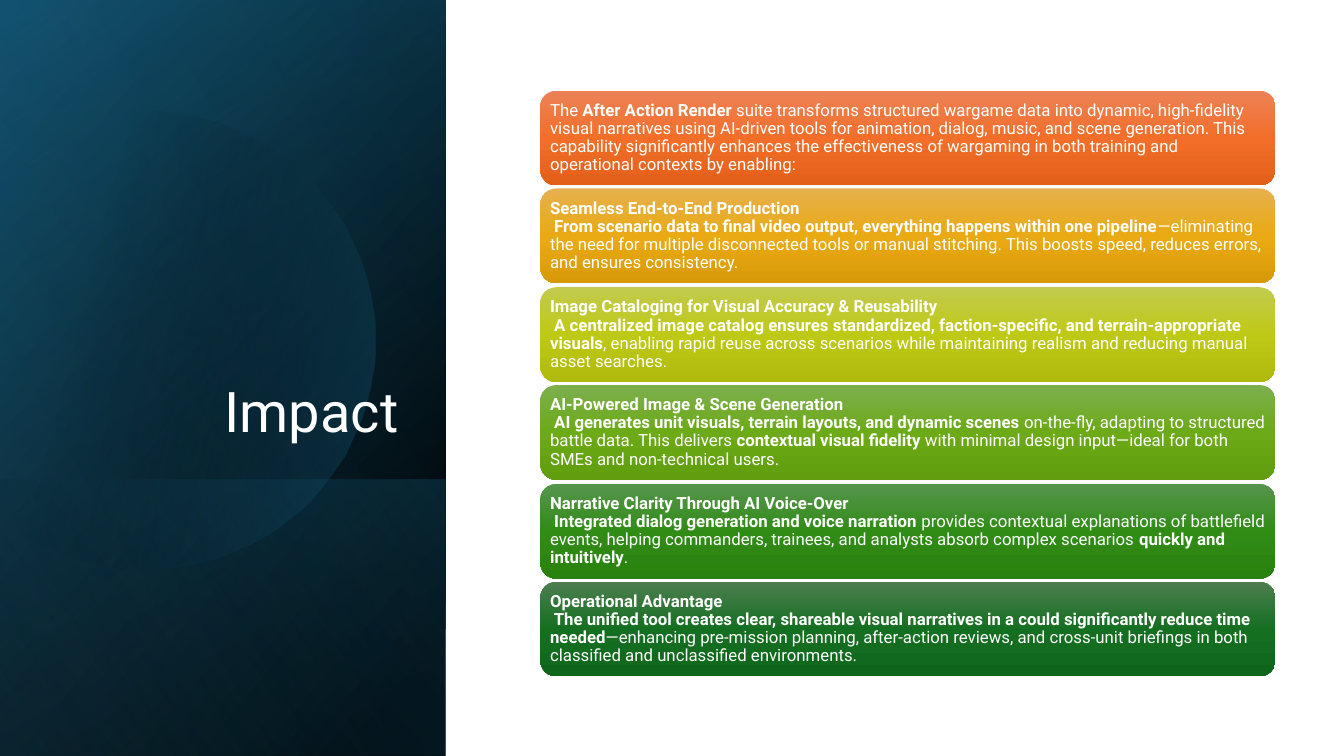
from math import cos, radians, sin

from lxml import etree
from pptx import Presentation
from pptx.dml.color import RGBColor
from pptx.enum import shapes, text
from pptx.oxml import ns
from pptx import util as u

PX = 9144


def px(value):
    return u.Emu(value * PX)


def color(value):
    return RGBColor.from_string(value)


class Slide:
    font = "Roboto"
    ink = "FFFFFF"

    def __init__(self, deck):
        self.page = deck.slides.add_slide(deck.slide_layouts[6])

    def gradient(self, shape, stops, angle):
        shape.shadow.inherit = False
        shape.line.fill.background()
        shape.fill.gradient()
        fill = shape._element.spPr.find(ns.qn("a:gradFill"))
        fill.set("rotWithShape", "1")
        for child in list(fill):
            fill.remove(child)
        stop_list = etree.SubElement(fill, ns.qn("a:gsLst"))
        for position, value, opacity in stops:
            stop = etree.SubElement(stop_list, ns.qn("a:gs"), pos=str(position * 1000))
            tint = etree.SubElement(stop, ns.qn("a:srgbClr"), val=value)
            if opacity < 100:
                etree.SubElement(tint, ns.qn("a:alpha"), val=str(opacity * 1000))
        etree.SubElement(fill, ns.qn("a:lin"), ang=str(angle * 60000), scaled="0")

    def panel(self, left, top, width, height, stops, angle):
        shape = self.page.shapes.add_shape(
            shapes.MSO_SHAPE.RECTANGLE, px(left), px(top), px(width), px(height))
        shape.rotation = 90
        shape._element.spPr.xfrm.set("flipH", "1")
        self.gradient(shape, stops, angle)

    def cut_disc(self, center_x, center_y, radius, stops, angle):
        points = [(center_x + radius * cos(radians(turn)),
                   center_y + radius * sin(radians(turn)))
                  for turn in range(-135, 136, 3)]
        builder = self.page.shapes.build_freeform(*points[0], scale=PX)
        builder.add_line_segments(points[1:], close=True)
        self.gradient(builder.convert_to_shape(), stops, angle)

    def style(self, para, size):
        para.line_spacing = 0.9
        para.font.name = self.font
        para.font.size = u.Pt(size)
        para.font.color.rgb = color(self.ink)

    def title(self, left, top, width, height, words):
        box = self.page.shapes.add_textbox(px(left), px(top), px(width), px(height))
        frame = box.text_frame
        frame.word_wrap = True
        frame.vertical_anchor = text.MSO_ANCHOR.BOTTOM
        para = frame.paragraphs[0]
        para.text = words
        para.alignment = text.PP_ALIGN.RIGHT
        self.style(para, 40)

    def card(self, left, top, width, height, colors, heading, body):
        shape = self.page.shapes.add_shape(
            shapes.MSO_SHAPE.ROUNDED_RECTANGLE, px(left), px(top), px(width), px(height))
        self.gradient(shape, [(place, value, 100) for place, value in zip((0, 50, 100), colors)], 90)
        frame = shape.text_frame
        frame.word_wrap = True
        frame.vertical_anchor = text.MSO_ANCHOR.MIDDLE
        frame.margin_left = frame.margin_right = px(5)
        frame.margin_top = frame.margin_bottom = px(5)
        para = frame.paragraphs[0]
        para.alignment = text.PP_ALIGN.LEFT
        self.style(para, 12)
        if heading:
            self.span(para, heading, True)
            para.add_line_break()
        for index, words in enumerate(body.split("**")):
            if words:
                self.span(para, words, index % 2 == 1)

    def span(self, para, words, bold):
        span = para.add_run()
        span.text = words
        span.font.bold = bold


CARDS = [
    (("ED8257", "F26E29", "E25F1A"), "",
     "The **After Action Render** suite transforms structured wargame data into dynamic, "
     "high-fidelity visual narratives using AI-driven tools for animation, dialog, music, and "
     "scene generation. This capability significantly enhances the effectiveness of wargaming "
     "in both training and operational contexts by enabling:"),
    (("E6B04E", "E9AA13", "D89A09"), "Seamless End-to-End Production",
     "** From scenario data to final video output, everything happens within one pipeline**"
     "—eliminating the need for multiple disconnected tools or manual stitching. This boosts "
     "speed, reduces errors, and ensures consistency."),
    (("C2CB4E", "BEC916", "AFBA0C"), "Image Cataloging for Visual Accuracy & Reusability",
     "** A centralized image catalog ensures standardized, faction-specific, and "
     "terrain-appropriate visuals**, enabling rapid reuse across scenarios while maintaining "
     "realism and reducing manual asset searches."),
    (("7DAF4E", "6CAA17", "619D0E"), "AI-Powered Image & Scene Generation",
     "** AI generates unit visuals, terrain layouts, and dynamic scenes** on-the-fly, adapting "
     "to structured battle data. This delivers **contextual visual fidelity** with minimal "
     "design input—ideal for both SMEs and non-technical users."),
    (("57954E", "318C16", "29810F"), "Narrative Clarity Through AI Voice-Over",
     "** Integrated dialog generation and voice narration** provides contextual explanations "
     "of battlefield events, helping commanders, trainees, and analysts absorb complex "
     "scenarios **quickly and intuitively**."),
    (("4D7E50", "156F21", "0F661B"), "Operational Advantage",
     "** The unified tool creates clear, shareable visual narratives in a could significantly "
     "reduce time needed**—enhancing pre-mission planning, after-action reviews, and "
     "cross-unit briefings in both classified and unclassified environments."),
]


def main():
    deck = Presentation()
    deck.slide_width, deck.slide_height = u.Inches(13.33), u.Inches(7.5)
    slide = Slide(deck)

    sidebar = (-154, 154, 750, 442)
    slide.panel(*sidebar, [(8, "000000", 100), (100, "104862", 100)], 50)
    slide.panel(*sidebar, [(0, "000000", 0), (99, "156082", 46)], 30)
    slide.panel(84, 392, 274, 442, [(2, "156082", 29), (100, "000000", 30)], 130)
    slide.cut_disc(145, 338, 227, [(29, "000000", 0), (100, "156082", 43)], 14)
    slide.panel(*sidebar, [(0, "000000", 0), (99, "46B1E1", 11)], 120)
    slide.title(64, 184, 341, 262, "Impact")

    for index, (colors, heading, body) in enumerate(CARDS):
        slide.card(536, 90 + index * 195 // 2, 729, 94, colors, heading, body)

    deck.save("out.pptx")


if __name__ == "__main__":
    main()
